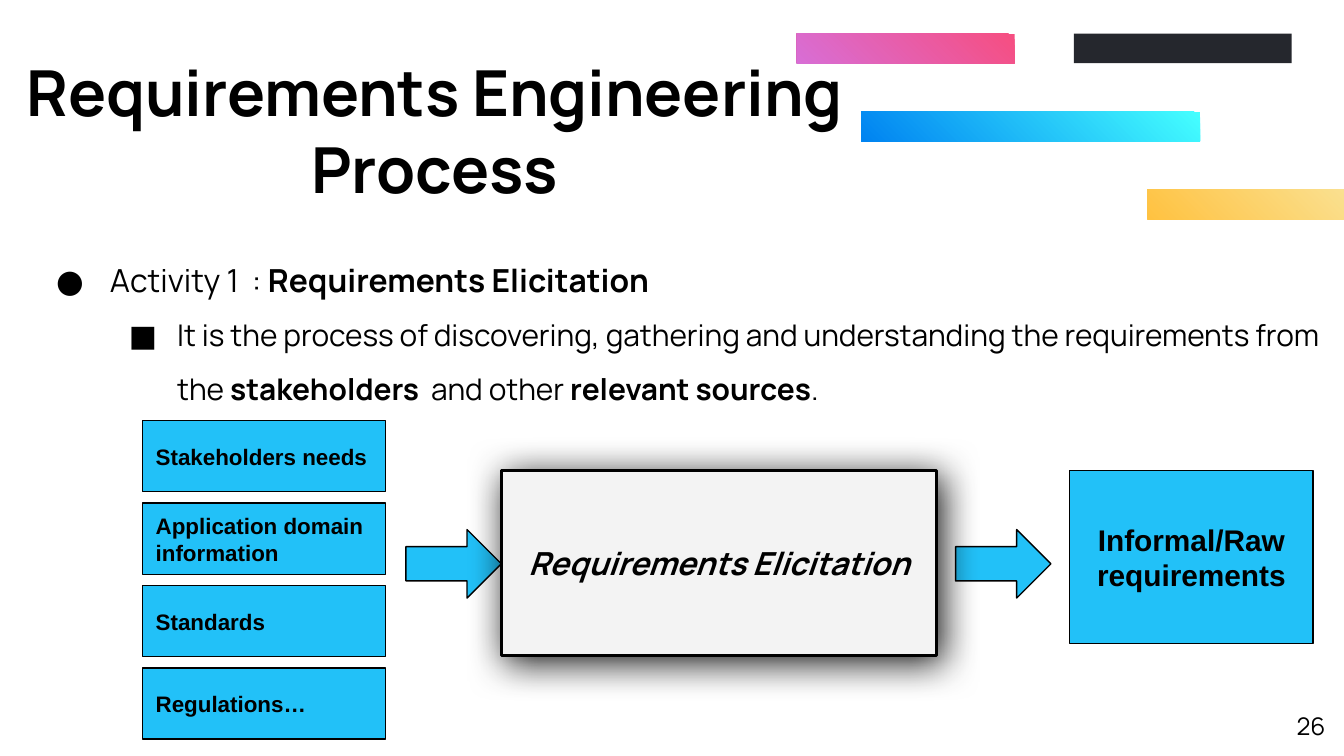
from pptx import Presentation
from pptx.dml.color import RGBColor
from pptx.enum.shapes import MSO_SHAPE as Shape
from pptx.enum.text import MSO_ANCHOR as Anchor, PP_ALIGN as Align
from pptx.oxml import parse_xml
from pptx.oxml.ns import nsdecls
from pptx.util import Inches, Pt

# Content
TITLE = "Requirements Engineering Process"
PAGE_NUMBER = "26"
BULLETS = [  # bullet, left margin, indent, size, runs of (text, bold)
    ("●", 0.5, -0.4, 17, [("Activity 1  : ", False), ("Requirements Elicitation", True)]),
    ("■", 1, -0.36, 16, [
        ("It is the process of discovering, gathering and understanding "
         "the requirements from the ", False),
        ("stakeholders ", True), (" and other ", False),
        ("relevant sources", True), (".", False)]),
]
INPUTS = ["Stakeholders needs", "Application domain information", "Standards", "Regulations…"]
ACTIVITY = "Requirements Elicitation"
OUTPUT = "Informal/Raw requirements"
BARS = [  # left, top, width, colours (two make a gradient)
    (6.41, 0.83, 2.52, ["45FFFF", "0083F1"]),
    (7.99, 0.25, 1.62, ["25272D"]),
    (5.93, 0.25, 1.62, ["F64E81", "D86ED5"]),
    (8.54, 1.41, 1.46, ["FAE08F", "FFC241"]),
]

# Style and layout
BLACK, BLUE, GREY = "000000", "22C1F8", "F3F3F3"
BAR_HEIGHT = 0.22
INPUT_LEFT, INPUT_TOP, INPUT_BOTTOM = 1.06, 3.13, 5.5
BOX_WIDTH, INPUT_HEIGHT = 1.81, 0.53
INPUT_STEP = (INPUT_BOTTOM - INPUT_HEIGHT - INPUT_TOP) / (len(INPUTS) - 1)
ARROW_LEFTS, ARROW_TOP, ARROW_SIZE = [3.02, 7.11], 3.94, (0.71, 0.51)


def rgb(color):
    return RGBColor.from_string(color)


def style_run(run, size, font="Manrope", bold=False, italic=False):
    run.font.name, run.font.size = font, Pt(size)
    run.font.bold, run.font.italic = bold, italic
    run.font.color.rgb = rgb(BLACK)


def prepare_frame(shape, anchor):
    frame = shape.text_frame
    frame.word_wrap = True
    frame.vertical_anchor = anchor
    frame.margin_left = frame.margin_right = Inches(0.1)
    frame.margin_top = frame.margin_bottom = Inches(0.1)
    return frame


def write(shape, text, size, align, anchor=Anchor.MIDDLE, **style):
    frame = prepare_frame(shape, anchor)
    frame.text = text
    paragraph = frame.paragraphs[0]
    paragraph.alignment = align
    style_run(paragraph.runs[0], size, **style)


def add_text_box(slide, *box):
    return slide.shapes.add_textbox(*map(Inches, box))


def add_block(slide, kind, box, fill, line_width=0.75):
    shape = slide.shapes.add_shape(kind, *map(Inches, box))
    shape.shadow.inherit = False
    shape.fill.solid()
    shape.fill.fore_color.rgb = rgb(fill)
    shape.line.color.rgb = rgb(BLACK)
    shape.line.width = Pt(line_width)
    return shape


def add_bar(slide, left, top, width, colors):
    bar = add_block(slide, Shape.RECTANGLE, (left, top, width, BAR_HEIGHT), colors[0])
    bar.line.fill.background()
    if len(colors) > 1:
        bar.fill.gradient()
        bar.fill.gradient_angle = 225
        for stop, position, color in zip(bar.fill.gradient_stops, (0, 1), colors):
            stop.position = position
            stop.color.rgb = rgb(color)


def add_soft_shadow(shape):
    effects = shape._element.spPr.find("{*}effectLst")
    effects.append(parse_xml(
        f'<a:outerShdw {nsdecls("a")} blurRad="{Pt(20.2)}" dist="{Pt(3.8)}" '
        f'dir="{53 * 60000}" algn="bl" rotWithShape="0">'
        f'<a:srgbClr val="{BLACK}"><a:alpha val="90000"/></a:srgbClr></a:outerShdw>'))


def add_bullet(paragraph, symbol, margin, indent):
    properties = paragraph._p.get_or_add_pPr()
    properties.set("marL", str(Inches(margin)))
    properties.set("indent", str(Inches(indent)))
    for xml in (f'<a:buClr {nsdecls("a")}><a:srgbClr val="{BLACK}"/></a:buClr>',
                f'<a:buFont {nsdecls("a")} typeface="Manrope"/>',
                f'<a:buChar {nsdecls("a")} char="{symbol}"/>'):
        properties.append(parse_xml(xml))


def main():
    presentation = Presentation()
    presentation.slide_width = Inches(10)
    presentation.slide_height = presentation.slide_width * 9 // 16
    slide = presentation.slides.add_slide(presentation.slide_layouts[6])

    # Decorative bars
    for bar in BARS:
        add_bar(slide, *bar)

    # Title, bullets and page number
    write(add_text_box(slide, 0.08, 0.25, 6.31, 1.43), TITLE, 34, Align.CENTER, bold=True)
    frame = prepare_frame(add_text_box(slide, 0.22, 1.7, 9.74, 1.43), Anchor.TOP)
    for level, (symbol, margin, indent, size, runs) in enumerate(BULLETS):
        paragraph = frame.add_paragraph() if level else frame.paragraphs[0]
        paragraph.level = level
        add_bullet(paragraph, symbol, margin, indent)
        paragraph.line_spacing = 1.5
        for text, bold in runs:
            run = paragraph.add_run()
            run.text = text
            style_run(run, size, bold=bold)
    write(add_text_box(slide, 9.36, 5.19, 0.6, 0.43), PAGE_NUMBER, 13, Align.RIGHT, Anchor.TOP)

    # Inputs
    for row, text in enumerate(INPUTS):
        box = (INPUT_LEFT, INPUT_TOP + row * INPUT_STEP, BOX_WIDTH, INPUT_HEIGHT)
        write(add_block(slide, Shape.RECTANGLE, box, BLUE), text, 12, Align.LEFT,
              font="Arial", bold=True)

    # Arrows, activity and output
    for left in ARROW_LEFTS:
        add_block(slide, Shape.RIGHT_ARROW, (left, ARROW_TOP, *ARROW_SIZE), BLUE)
    activity = add_block(slide, Shape.RECTANGLE, (3.73, 3.5, 3.24, 1.38), GREY, 1.5)
    add_soft_shadow(activity)
    write(activity, ACTIVITY, 17, Align.CENTER, bold=True, italic=True)
    output = add_block(slide, Shape.RECTANGLE, (7.96, 3.5, BOX_WIDTH, 1.29), BLUE)
    write(output, OUTPUT, 16, Align.CENTER, font="Arial", bold=True)

    presentation.save("out.pptx")


if __name__ == "__main__":
    main()
